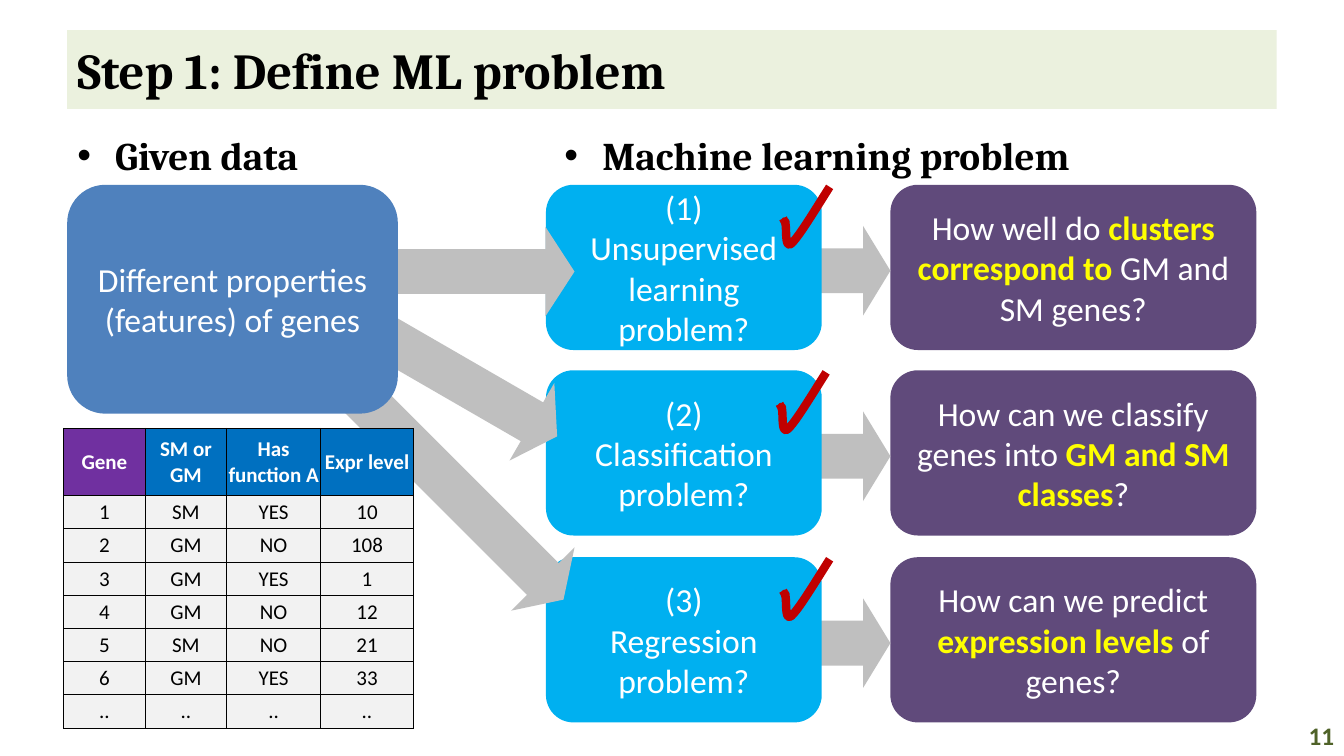
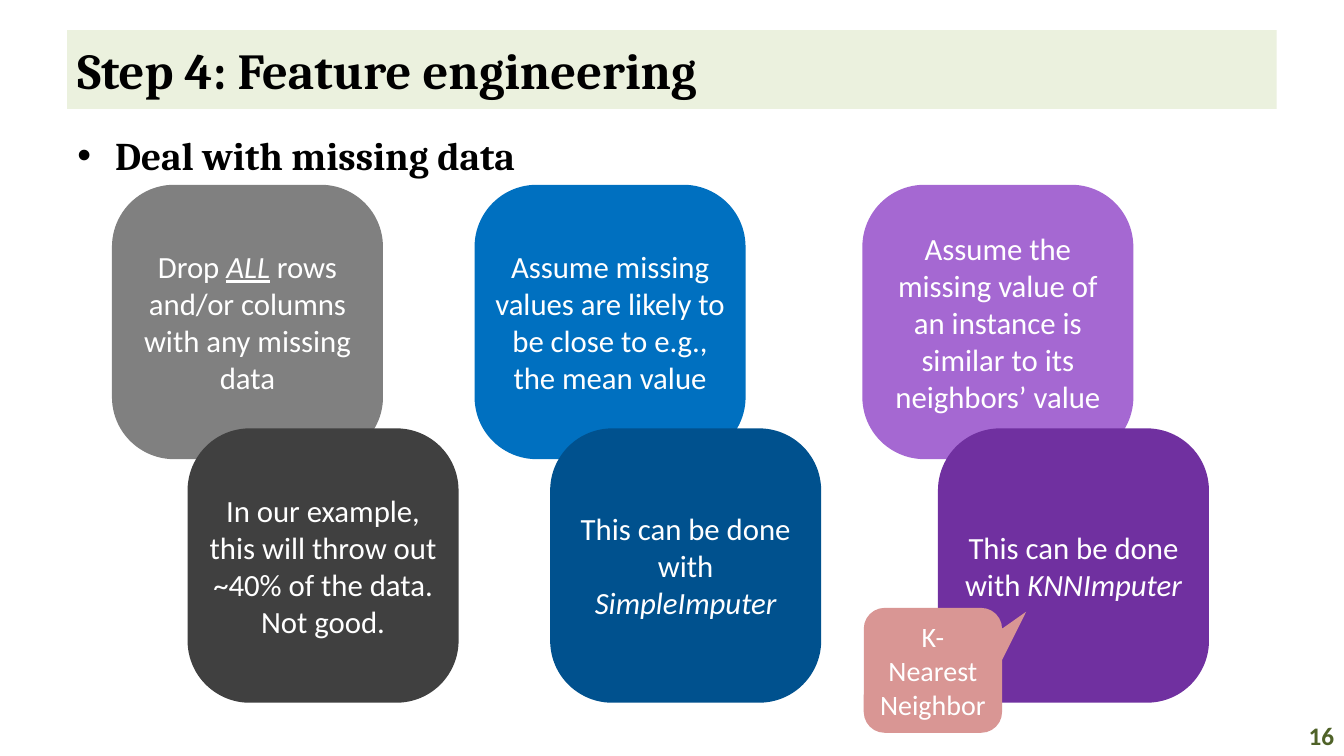
from lxml import etree
from pptx import Presentation
from pptx.dml.color import RGBColor
from pptx.enum.shapes import MSO_SHAPE
from pptx.enum.text import MSO_ANCHOR, MSO_AUTO_SIZE, PP_ALIGN
from pptx.oxml.ns import qn
from pptx.util import Pt

BLACK = RGBColor(0x00, 0x00, 0x00)
WHITE = RGBColor(0xFF, 0xFF, 0xFF)
YELLOW = RGBColor(0xFF, 0xFF, 0x00)
BAND = RGBColor(0xEB, 0xF1, 0xDE)
OLIVE = RGBColor(0x4F, 0x62, 0x28)
SILVER = RGBColor(0xBF, 0xBF, 0xBF)
PALE = RGBColor(0xF2, 0xF2, 0xF2)
GRAY = RGBColor(0x80, 0x80, 0x80)
DARK = RGBColor(0x40, 0x40, 0x40)
STEEL = RGBColor(0x4F, 0x81, 0xBD)
SKY = RGBColor(0x00, 0xB0, 0xF0)
BLUE = RGBColor(0x00, 0x70, 0xC0)
NAVY = RGBColor(0x00, 0x51, 0x8E)
PLUM = RGBColor(0x60, 0x4A, 0x7B)
LILAC = RGBColor(0xA5, 0x68, 0xD2)
PURPLE = RGBColor(0x70, 0x30, 0xA0)
ROSE = RGBColor(0xD9, 0x96, 0x94)
RED = RGBColor(0xC0, 0x00, 0x00)

HEAD, BODY = "Cambria", "Calibri"
TOP = 132

STEPS = [
    (132, 0,
     [[("(1)", "")], [("Unsupervised learning problem?", "")]],
     [[("How well do ", ""), ("clusters correspond to ", "hot"),
       ("GM and SM genes?", "")]]),
    (264.5, -2.5,
     [[("(2)", "")], [("Classification problem?", "")]],
     [[("How can we classify genes into ", ""), ("GM and SM classes", "hot"),
       ("?", "")]]),
    (398, 0,
     [[("(3)", "")], [("Regression", "")], [("problem?", "")]],
     [[("How can we predict ", ""), ("expression levels ", "hot"),
       ("of genes?", "")]]),
]

GENES = [
    ("Gene", "SM or GM", "Has function A", "Expr level"),
    ("1", "SM", "YES", "10"),
    ("2", "GM", "NO", "108"),
    ("3", "GM", "YES", "1"),
    ("4", "GM", "NO", "12"),
    ("5", "SM", "NO", "21"),
    ("6", "GM", "YES", "33"),
    ("..", "..", "..", ".."),
]

PAIRS = [
    (80, GRAY, DARK,
     [[("Drop ", ""), ("ALL", "term line"), (" rows and/or columns", "")],
      [("with any missing data", "")]],
     [[("In our example,", "")],
      [("this will throw out ~40% of the data. Not good.", "")]]),
    (339, BLUE, NAVY,
     [[("Assume missing values are likely to be close to e.g., "
        "the mean value", "")]],
     [[("This can be done with ", ""), ("SimpleImputer", "term")]]),
    (616, LILAC, PURPLE,
     [[("Assume the missing value of an instance is similar to its "
        "neighbors’ value", "")]],
     [[("This can be done with ", ""), ("KNNImputer", "term")]]),
]


def pts(*vals):
    return [Pt(v) for v in vals]


def place(shape, box):
    shape.left, shape.top, shape.width, shape.height = pts(*box)


def add_run(para, text, size, color, font=BODY, bold=False):
    run = para.add_run()
    run.text = text
    run.font.name, run.font.size, run.font.bold = font, Pt(size), bold
    run.font.color.rgb = color
    return run


def write(frame, lines, size):
    """Fill a frame with centred white lines of (text, style) runs."""
    frame.word_wrap = True
    frame.vertical_anchor = MSO_ANCHOR.MIDDLE
    for i, line in enumerate(lines):
        para = frame.paragraphs[0] if i == 0 else frame.add_paragraph()
        para.alignment = PP_ALIGN.CENTER
        for text, style in line:
            hot = "hot" in style
            run = add_run(para, text, size, YELLOW if hot else WHITE, bold=hot)
            run.font.italic = "term" in style
            run.font.underline = "line" in style


def add_form(slide, kind, box, fill, adj=()):
    shape = slide.shapes.add_shape(kind, *pts(*box))
    shape.shadow.inherit = False
    shape.fill.solid()
    shape.fill.fore_color.rgb = fill
    shape.line.fill.background()
    for i, val in enumerate(adj):
        shape.adjustments[i] = val
    return shape


def add_card(slide, box, fill, lines, size=24):
    card = add_form(slide, MSO_SHAPE.ROUNDED_RECTANGLE, box, fill)
    write(card.text_frame, lines, size)
    return card


def add_arrow(slide, box, turn=0):
    arrow = add_form(slide, MSO_SHAPE.RIGHT_ARROW, box, SILVER, (0.5, 0.325))
    arrow.rotation = turn


def curve(start, ctrl, end, steps=10):
    """Points along a cubic curve, without its start."""
    knots = [start, *ctrl, end]
    for n in range(1, steps + 1):
        t = n / steps
        mix = ((1 - t) ** 3, 3 * t * (1 - t) ** 2, 3 * t * t * (1 - t), t ** 3)
        yield tuple(sum(m * k[i] for m, k in zip(mix, knots)) for i in (0, 1))


def add_tick(slide, left, top):
    dots = [(0, 22.5)]
    for ctrl, end in [
        (((3.6, 29.2), (0.7, 22.5)), (1.5, 25.5)),
        (((3, 28.5), (0.7, 44.8)), (6, 40.5)),
        (((11, 36), (22, 18)), (33.3, 0)),
    ]:
        dots += list(curve(dots[-1], ctrl, end))
    dots = [pts(left + x, top + y) for x, y in dots]
    pen = slide.shapes.build_freeform(*dots[0])
    pen.add_line_segments(dots[1:], close=False)
    tick = pen.convert_to_shape()
    tick.shadow.inherit = False
    tick.fill.background()
    tick.line.color.rgb = RED
    tick.line.width = Pt(6)


def add_edges(cell, widths):
    """Draw left, right, top and bottom borders."""
    props = cell._tc.get_or_add_tcPr()
    for i, (side, width) in enumerate(zip("LRTB", widths)):
        edge = etree.Element(qn("a:ln" + side), w=str(Pt(width)))
        fill = etree.SubElement(edge, qn("a:solidFill"))
        etree.SubElement(fill, qn("a:srgbClr"), val=str(BLACK))
        props.insert(i, edge)


def add_genes(slide, left, top):
    cols, rows = (58.2, 58.2, 67.2, 66.2), [48] + [23.7] * 7
    frame = slide.shapes.add_table(
        len(rows), len(cols), *pts(left, top, sum(cols), sum(rows)))
    table = frame.table
    table.first_row = table.horz_banding = False
    for col, width in zip(table.columns, cols):
        col.width = Pt(width)
    for r, (row, high) in enumerate(zip(table.rows, rows)):
        row.height = Pt(high)
        for c, cell in enumerate(row.cells):
            cell.margin_left = cell.margin_right = cell.margin_top = Pt(0.7)
            cell.margin_bottom = 0
            cell.vertical_anchor = MSO_ANCHOR.MIDDLE
            para = cell.text_frame.paragraphs[0]
            para.alignment = PP_ALIGN.CENTER
            head = r == 0
            add_run(para, GENES[r][c], 15, WHITE if head else BLACK, bold=head)
            cell.fill.solid()
            tint = PURPLE if c == 0 else BLUE
            cell.fill.fore_color.rgb = tint if head else PALE
            thick = (c < 3, c < 2, r < 2, r < 1)
            add_edges(cell, [1 if t else 0.5 for t in thick])


def add_base(deck, layout, title, heads, page):
    """Start a slide with its title band, bullet heads and page number."""
    slide = deck.slides.add_slide(deck.slide_layouts[layout])
    band = slide.shapes.title
    place(band, (48, 21.6, 864, 56.2))
    band.fill.solid()
    band.fill.fore_color.rgb = BAND
    frame = band.text_frame
    frame.auto_size = MSO_AUTO_SIZE.NONE
    frame.vertical_anchor = MSO_ANCHOR.MIDDLE
    frame.paragraphs[0].alignment = PP_ALIGN.LEFT
    add_run(frame.paragraphs[0], title, 36, BLACK, HEAD, True)

    for i, (text, box) in enumerate(heads, 1):
        body = slide.placeholders[i]
        place(body, box)
        body.text_frame.auto_size = MSO_AUTO_SIZE.NONE
        para = body.text_frame.paragraphs[0]
        para.space_before = 0
        add_run(para, text, 28, BLACK, HEAD, True)

    foot = slide.shapes.add_textbox(*pts(912, 511.2, 48, 28.8)).text_frame
    foot.word_wrap = True
    foot.vertical_anchor = MSO_ANCHOR.MIDDLE
    foot.paragraphs[0].alignment = PP_ALIGN.RIGHT
    add_run(foot.paragraphs[0], page, 18, OLIVE, bold=True)
    return slide


def add_step(slide, left, top, ask, goal):
    add_card(slide, (left + 246, top, 261.4, 118), PLUM, goal)
    add_arrow(slide, (left + 186, top + 29.4, 60, 64))
    add_card(slide, (left, top, 197, 118), SKY, ask)


def add_pair(slide, left, top, back, front, idea, note):
    for x, y, fill, lines in ((0, 0, back, idea), (54, 174, front, note)):
        card = add_card(
            slide, (left + x, top + y, 193.6, 196), fill, lines, 22)
        card.adjustments[0] = 0.229
        card.text_frame.margin_left = card.text_frame.margin_right = 0


def make_define(deck):
    heads = [("Given data", (48, 90, 424, 421)),
             ("Machine learning problem", (396, 90, 516, 46))]
    slide = add_base(deck, 3, "Step 1: Define ML problem", heads, "11")
    for top, _, ask, goal in STEPS:
        add_step(slide, 390, top, ask, goal)
    add_arrow(slide, (247.7, 162, 162.7, 64))
    add_arrow(slide, (246.2, 239, 162.7, 64), 30)
    add_arrow(slide, (196.6, 311, 241.2, 64), 45)
    add_card(slide, (48, TOP, 236.2, 163.5), STEEL,
             [[("Different properties (features) of genes", "")]])
    add_genes(slide, 45.5, 306)
    for top, shift, _, _ in STEPS:
        add_tick(slide, 559.3 + shift, top + 1.5)


def make_missing(deck):
    heads = [("Deal with missing data", (48, 90, 864, 421))]
    slide = add_base(deck, 1, "Step 4: Feature engineering", heads, "16")
    for left, *parts in PAIRS:
        add_pair(slide, left, TOP, *parts)
    bubble = add_form(slide, MSO_SHAPE.ROUNDED_RECTANGULAR_CALLOUT,
                      (617, 434.2, 98.8, 89.2), ROSE, (0.674, -0.469, 0.167))
    write(bubble.text_frame, [[("K-Nearest Neighbor", "")]], 20)


def main():
    deck = Presentation()
    deck.slide_width, deck.slide_height = pts(960, 540)
    make_define(deck)
    make_missing(deck)
    deck.save("out.pptx")


if __name__ == "__main__":
    main()
